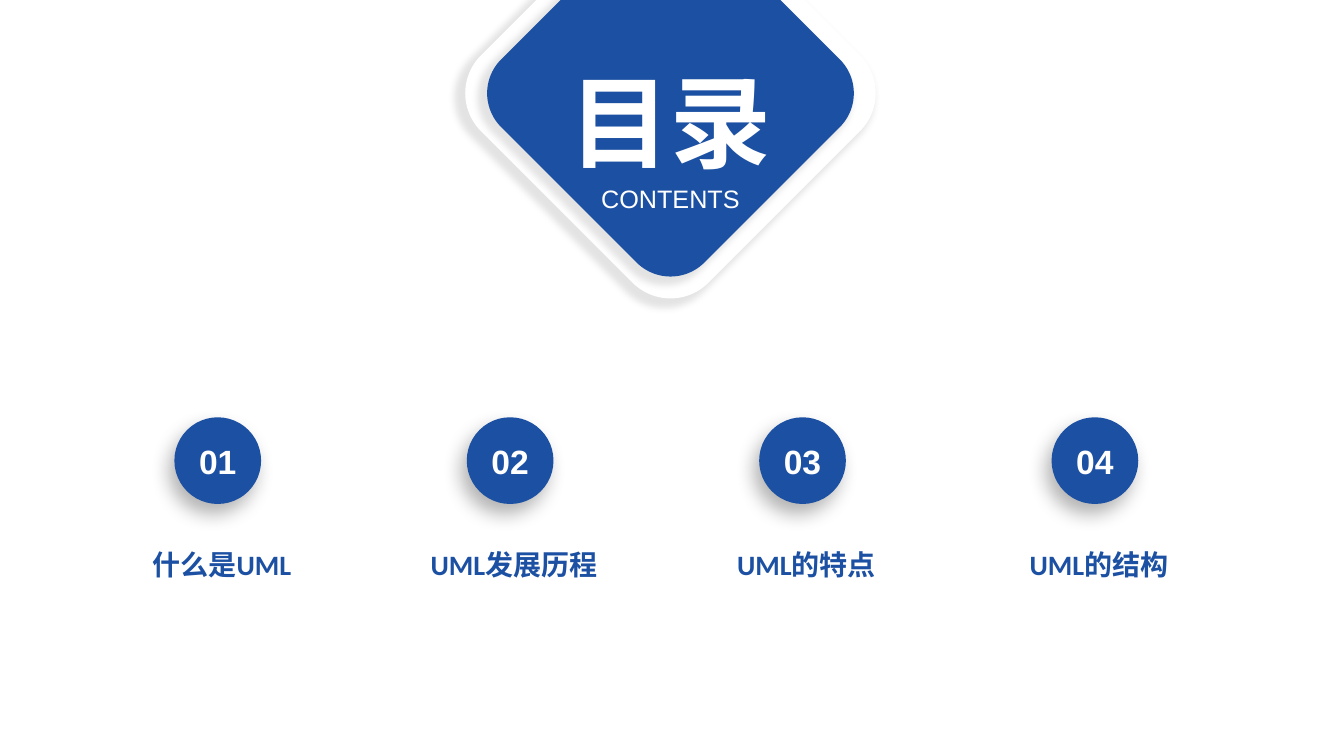
from lxml import etree
from pptx import Presentation
from pptx.dml.color import RGBColor
from pptx.enum.shapes import MSO_SHAPE
from pptx.enum.text import MSO_ANCHOR, MSO_AUTO_SIZE, PP_ALIGN
from pptx.oxml import parse_xml
from pptx.oxml.ns import nsdecls
from pptx.util import Inches, Pt

ROUND, OVAL = MSO_SHAPE.ROUNDED_RECTANGLE, MSO_SHAPE.OVAL
MID, MIDDLE = PP_ALIGN.CENTER, MSO_ANCHOR.MIDDLE
GROW = MSO_AUTO_SIZE.SHAPE_TO_FIT_TEXT
HUES = {"blue": "1C50A2", "white": "FFFFFF", "shade": "000000"}

deck = Presentation()
deck.slide_width, deck.slide_height = Inches(13.33), Inches(7.5)
slide = deck.slides.add_slide(deck.slide_layouts[6])


def add_form(kind, midx, midy, size, hue, alpha, blur, dist, angle, scale):
    form = slide.shapes.add_shape(
        kind, Inches(midx - size / 2), Inches(midy - size / 2), Inches(size), Inches(size))
    form.fill.solid()
    form.fill.fore_color.rgb = RGBColor.from_string(HUES[hue])
    form.line.fill.background()
    form.shadow.inherit = False
    glow = parse_xml(
        f'<a:outerShdw {nsdecls("a")} blurRad="{Pt(blur)}" dist="{Pt(dist)}" '
        f'dir="{angle * 60000}" sx="{scale * 1000}" sy="{scale * 1000}" '
        f'algn="tr" rotWithShape="0"><a:srgbClr val="{HUES["shade"]}">'
        f'<a:alpha val="{alpha * 1000}"/></a:srgbClr></a:outerShdw>')
    etree.ElementBase.append(form.element.spPr.effectLst, glow)
    return form


def set_text(frame, text, size, face, hue, bold):
    frame.word_wrap = True
    para = frame.paragraphs[0]
    para.text, para.alignment = text, MID
    para.font.size, para.font.name, para.font.bold = Pt(size), face, bold
    para.font.color.rgb = RGBColor.from_string(HUES[hue])


center = 6.65
for size, hue in ((3.19, "white"), (2.85, "blue")):
    gem = add_form(ROUND, center, 0.925, size, hue, 11, 5, 0, 0, 102)
    gem.rotation = 45

for text, top, high, size, face, bold in (
        ("目录", 0.54, 1.31, 72, "Calibri", True),
        ("CONTENTS", 1.77, 0.4, 18, "Arial", False)):
    box = slide.shapes.add_textbox(Inches(center - 1.9), Inches(top), Inches(3.8), Inches(high))
    set_text(box.text_frame, text, size, face, "white", bold)
    box.text_frame.auto_size = GROW

first, step, wide = 2.16, 2.9, 2.3
topics = ("什么是UML", "UML发展历程", "UML的特点", "UML的结构")
for col, topic in enumerate(topics):
    mid = first + col * step
    disc = add_form(OVAL, mid, 4.57, 0.86, "blue", 30, 14, 8, 120, 100)
    set_text(disc.text_frame, f"{col + 1:02}", 24, "Arial", "white", True)
    disc.text_frame.vertical_anchor = MIDDLE
    label = slide.shapes.add_textbox(
        Inches(mid + 0.04 - wide / 2), Inches(5.39), Inches(wide), Inches(0.41))
    frame = label.text_frame
    set_text(frame, topic, 20, "Calibri", "blue", True)
    frame.auto_size = GROW
    frame.margin_left = frame.margin_right = Inches(0.07)
    frame.margin_top = frame.margin_bottom = Inches(0.04)

deck.save("out.pptx")
